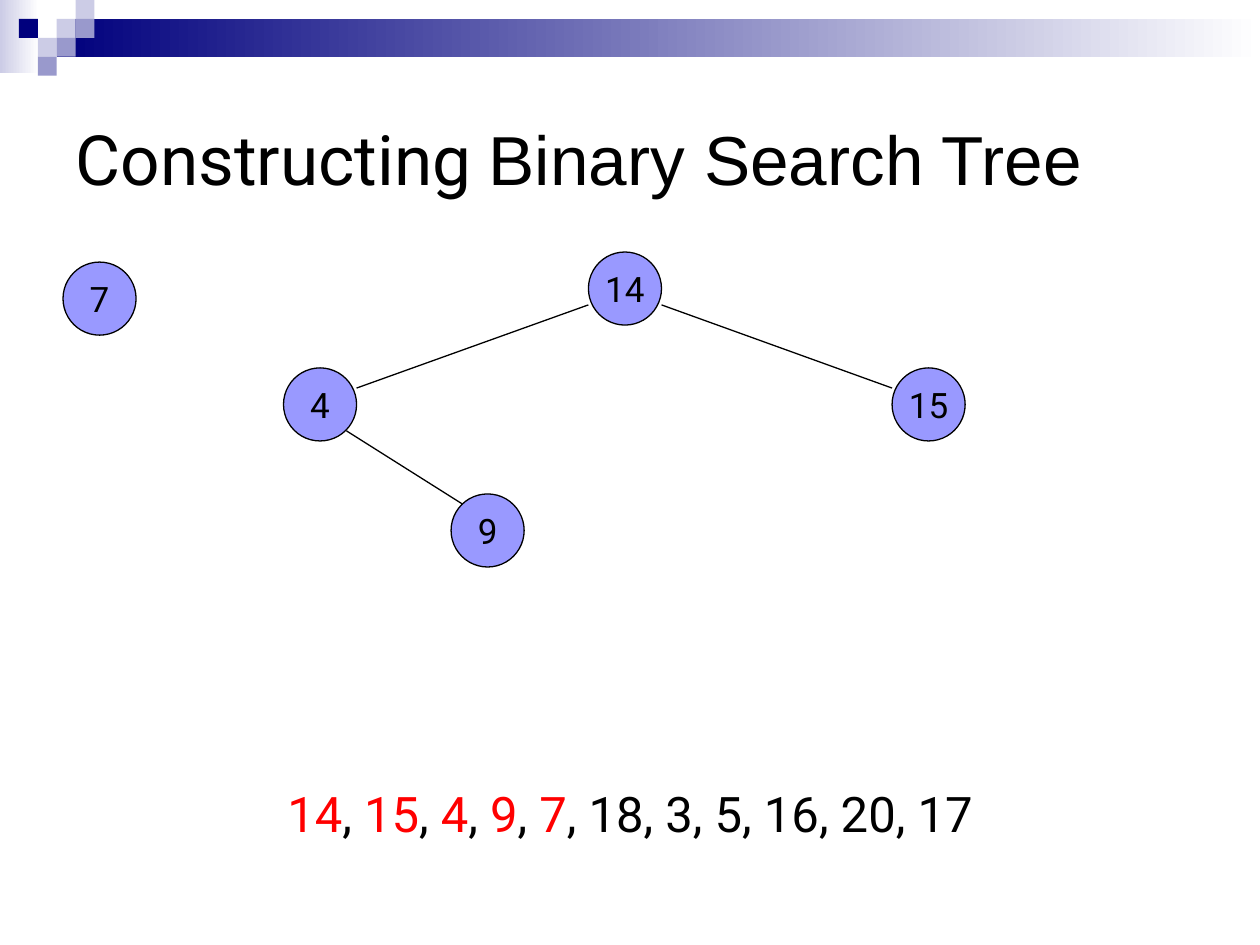
from lxml.etree import SubElement
from pptx import Presentation
from pptx.dml.color import RGBColor
from pptx.enum.shapes import MSO_CONNECTOR, MSO_SHAPE
from pptx.enum.text import MSO_ANCHOR, MSO_AUTO_SIZE, PP_ALIGN
from pptx.oxml.ns import qn
from pptx.util import Inches, Pt

COLORS = {
    "navy": "00007D", "mid": "9999CC", "pale": "CCCCE6", "white": "FFFFFF",
    "node": "9999FF", "ink": "000000", "done": "FF0000",
}
SIZE = 0.58  # node diameter
TILE = 0.15
TILES = [  # column, row, color
    (2, 1, "pale"), (3, 0, "pale"), (3, 1, "mid"), (1, 2, "pale"),
    (0, 1, "navy"), (2, 2, "mid"), (1, 3, "mid"),
]
NODES = {  # left, top within the tree box
    "14": (4.17, 0), "15": (6.58, 0.92), "4": (1.75, 0.92),
    "9": (3.08, 1.92), "7": (0, 0.08),
}
EDGES = [  # parent, offset in parent, child, offset in child
    ("14", (SIZE, 0.42), "15", (0, 0.16)),
    ("14", (0, 0.42), "4", (SIZE, 0.16)),
    ("4", (0.5, 0.5), "9", (0.09, 0.08)),
]
DONE = ["14", "15", "4", "9", "7"]
REST = ["18", "3", "5", "16", "20", "17"]


def color(name):
    return RGBColor.from_string(COLORS[name])


def add_run(para, text, size, font="Roboto", tint="ink"):
    run = para.add_run()
    run.text = text
    run.font.size = Pt(size)
    run.font.name = font
    run.font.color.rgb = color(tint)


def add_rect(slide, left, top, width, height, *tints):
    """Add a borderless rectangle: one tint is solid, two fade left to right."""
    rect = slide.shapes.add_shape(
        MSO_SHAPE.RECTANGLE, Inches(left), Inches(top), Inches(width), Inches(height))
    rect.shadow.inherit = False
    rect.line.fill.background()
    if len(tints) == 1:
        rect.fill.solid()
        rect.fill.fore_color.rgb = color(tints[0])
        return
    rect.fill.gradient()
    rect.fill.gradient_angle = 0
    for stop, tint in zip(rect.fill.gradient_stops, tints):
        stop.color.rgb = color(tint)


def add_banner(slide, left, top, width):
    add_rect(slide, left, top, 0.31, 0.58, "pale", "white")
    add_rect(slide, left + 0.45, top + TILE, width - 0.45, 2 * TILE, "navy", "white")
    for col, row, tint in TILES:
        add_rect(slide, left + 0.15 + col * TILE, top + row * TILE, TILE, TILE, tint)


def add_title(slide, left, top, width, height):
    title = slide.shapes.title
    title.left, title.top = Inches(left), Inches(top)
    title.width, title.height = Inches(width), Inches(height)
    frame = title.text_frame
    frame.auto_size = MSO_AUTO_SIZE.NONE
    frame.vertical_anchor = MSO_ANCHOR.MIDDLE
    para = frame.paragraphs[0]
    para.alignment = PP_ALIGN.LEFT
    add_run(para, "Constructing ", 39.6)
    add_run(para, "Binary Search Tree", 39.6, "Arial")


def add_node(slide, left, top, label):
    node = slide.shapes.add_shape(
        MSO_SHAPE.OVAL, Inches(left), Inches(top), Inches(SIZE), Inches(SIZE))
    node.shadow.inherit = False
    node.fill.solid()
    node.fill.fore_color.rgb = color("node")
    node.line.color.rgb = color("ink")
    node.line.width = Pt(0.75)
    frame = node.text_frame
    frame.margin_left = frame.margin_right = 0
    frame.margin_top = frame.margin_bottom = 0
    frame.word_wrap = False
    frame.vertical_anchor = MSO_ANCHOR.MIDDLE
    para = frame.paragraphs[0]
    para.alignment = PP_ALIGN.CENTER
    add_run(para, label, 20)


def add_edge(slide, start, end):
    edge = slide.shapes.add_connector(
        MSO_CONNECTOR.STRAIGHT, *[Inches(n) for n in (*start, *end)])
    edge.line.color.rgb = color("ink")
    edge.line.width = Pt(0.75)
    SubElement(edge._element.spPr, qn("a:effectLst"))


def add_tree(slide, left, top):
    def place(label, shift=(0, 0)):
        x, y = NODES[label]
        return left + x + shift[0], top + y + shift[1]

    for label in NODES:
        add_node(slide, *place(label), label)
    for parent, out, child, into in EDGES:
        add_edge(slide, place(parent, out), place(child, into))


def add_keys(slide, left, top, width, height):
    """List the keys in order of insertion, those already read in red."""
    box = slide.shapes.add_textbox(
        Inches(left), Inches(top), Inches(width), Inches(height))
    box.text_frame.word_wrap = True
    para = box.text_frame.paragraphs[0]
    para.alignment = PP_ALIGN.CENTER
    for key in DONE:
        add_run(para, key, 28, tint="done")
        if key != DONE[-1]:
            add_run(para, ", ", 28)
    add_run(para, ", " + ", ".join(REST), 28)


def main():
    deck = Presentation()
    deck.slide_width, deck.slide_height = Inches(10), Inches(7.5)
    slide = deck.slides.add_slide(deck.slide_layouts[5])
    add_banner(slide, 0, 0, 10)
    add_title(slide, 0.5, 0.5, 9, 1.5)
    add_keys(slide, 0.5, 6.17, 9, 0.75)
    add_tree(slide, 0.5, 2)
    deck.save("out.pptx")


if __name__ == "__main__":
    main()
